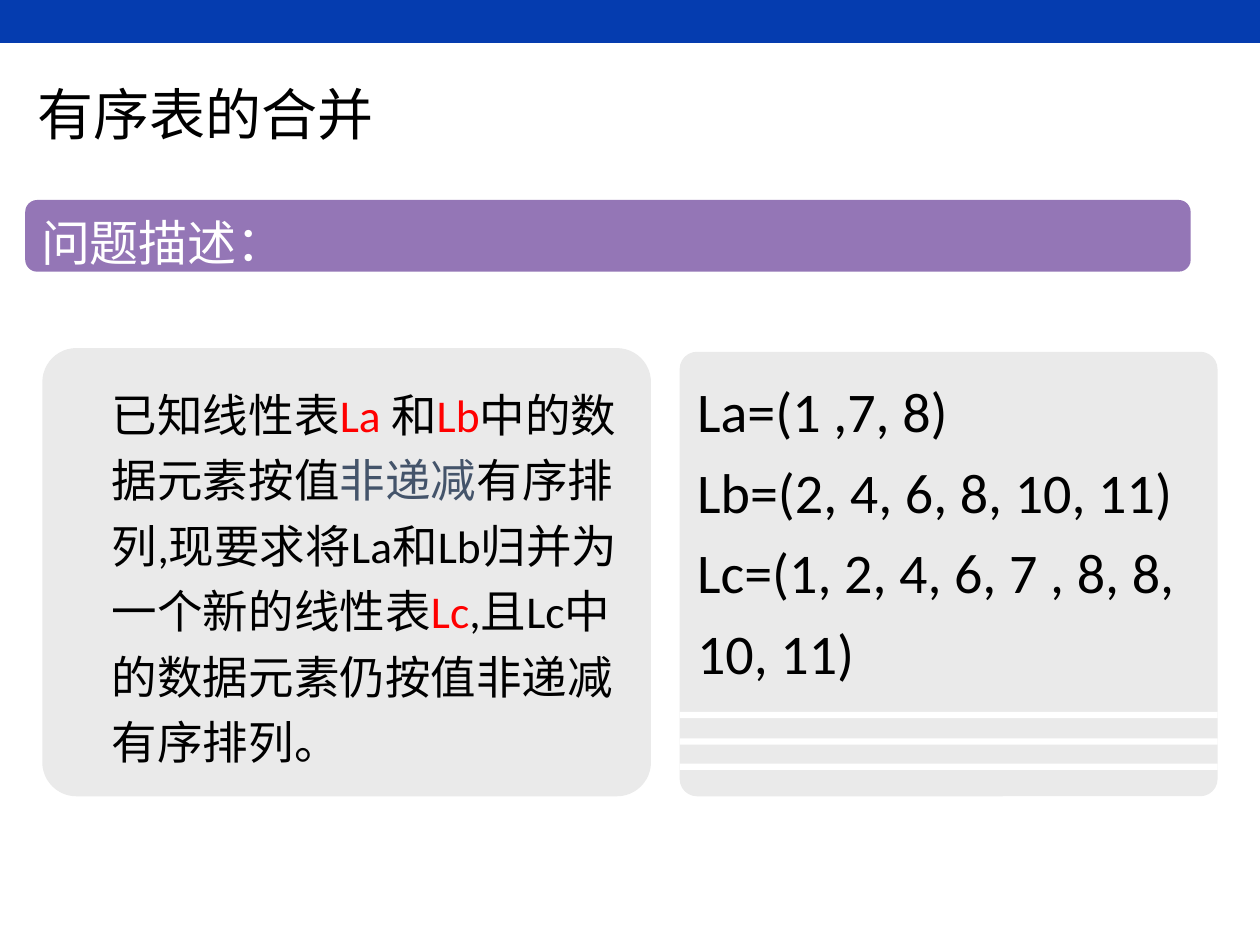
from lxml.etree import SubElement
from pptx import Presentation
from pptx.dml.color import RGBColor
from pptx.enum.shapes import MSO_SHAPE
from pptx.enum.text import MSO_ANCHOR, PP_ALIGN
from pptx.oxml.ns import qn
from pptx.util import Pt

COLORS = {
    "banner": "053CAF",
    "heading": "9476B6",
    "panel": "EAEAEA",
    "white": "FFFFFF",
    "black": "000000",
    "red": "FF0000",
    "slate": "44546A",
}
LATIN_FONT = "Calibri"
CHINESE_FONT = "Noto Sans CJK SC"

DESCRIPTION = [
    ("已知线性表", "black"),
    ("La ", "red"),
    ("和", "black"),
    ("Lb", "red"),
    ("中的数据元素按值", "black"),
    ("非递减", "slate"),
    ("有序排列,现要求将La和Lb归并为一个新的线性表", "black"),
    ("Lc", "red"),
    (",且Lc中的数据元素仍按值非递减有序排列。", "black"),
]
LISTS = [
    "La=(1 ,7, 8)",
    "Lb=(2, 4, 6, 8, 10, 11)",
    "Lc=(1, 2, 4, 6, 7 , 8, 8, 10, 11)",
]


def add_block(slide, left, top, width, height, color, corner=None):
    """Add a filled rectangle, rounded when a corner ratio is given."""
    kind = MSO_SHAPE.RECTANGLE if corner is None else MSO_SHAPE.ROUNDED_RECTANGLE
    shape = slide.shapes.add_shape(kind, Pt(left), Pt(top), Pt(width), Pt(height))
    if corner is not None:
        shape.adjustments[0] = corner
    shape.shadow.inherit = False
    shape.fill.solid()
    shape.fill.fore_color.rgb = RGBColor.from_string(COLORS[color])
    shape.line.fill.background()
    return shape


def write_text(shape, paragraphs, size, font=LATIN_FONT, anchor=MSO_ANCHOR.MIDDLE,
               line_spacing=1.0, space_before=0, margin=0, indent=0):
    """Fill a shape with paragraphs, each a list of (text, color) runs."""
    frame = shape.text_frame
    frame.word_wrap = True
    frame.vertical_anchor = anchor
    for index, runs in enumerate(paragraphs):
        paragraph = frame.add_paragraph() if index else frame.paragraphs[0]
        paragraph.alignment = PP_ALIGN.LEFT
        paragraph.line_spacing = line_spacing
        paragraph.space_before = Pt(space_before)
        properties = paragraph._p.get_or_add_pPr()
        properties.set("marL", str(Pt(margin)))
        properties.set("indent", str(Pt(indent)))
        for text, color in runs:
            run = paragraph.add_run()
            run.text = text
            run.font.size = Pt(size)
            run.font.name = font
            run.font.color.rgb = RGBColor.from_string(COLORS[color])
            east_asian = SubElement(run.font._element, qn("a:ea"))
            east_asian.set("typeface", CHINESE_FONT)


def main():
    presentation = Presentation()
    presentation.slide_width = Pt(720)
    presentation.slide_height = Pt(540)
    slide = presentation.slides.add_slide(presentation.slide_layouts[6])

    add_block(slide, 0, 0, 720, 24.5, "banner")

    heading = add_block(slide, 14.4, 114.3, 666, 41, "heading", corner=0.167)
    write_text(heading, [[("问题描述：", "white")]], 28, line_spacing=1.2,
               space_before=5.6, margin=27, indent=-27)

    example = add_block(slide, 388.4, 201, 307.4, 254, "panel", corner=0.039)
    write_text(example, [[(line, "black")] for line in LISTS], 32,
               anchor=MSO_ANCHOR.TOP, line_spacing=1.2)

    title = slide.shapes.add_textbox(Pt(14.4), Pt(37.5), Pt(618.5), Pt(54))
    write_text(title, [[("有序表的合并", "black")]], 32, font=CHINESE_FONT)

    description = add_block(slide, 24.2, 198.9, 347.8, 256.1, "panel", corner=0.076)
    write_text(description, [DESCRIPTION], 26, line_spacing=1.2,
               space_before=5.2, margin=27)

    for stripe_top in (406.8, 421.9, 436.3):
        add_block(slide, 388.4, stripe_top, 307.4, 3.6, "white")

    presentation.save("out.pptx")


if __name__ == "__main__":
    main()
